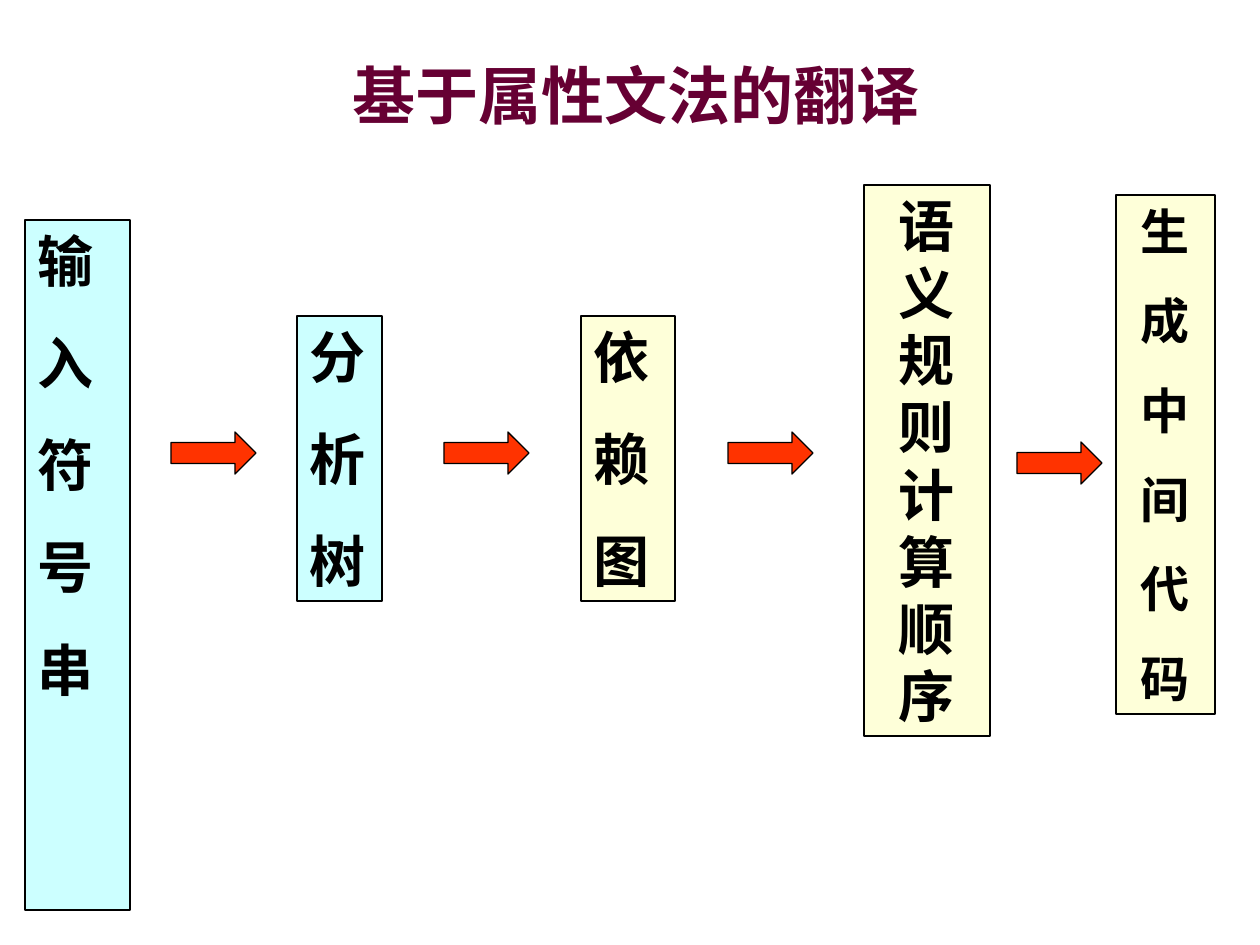
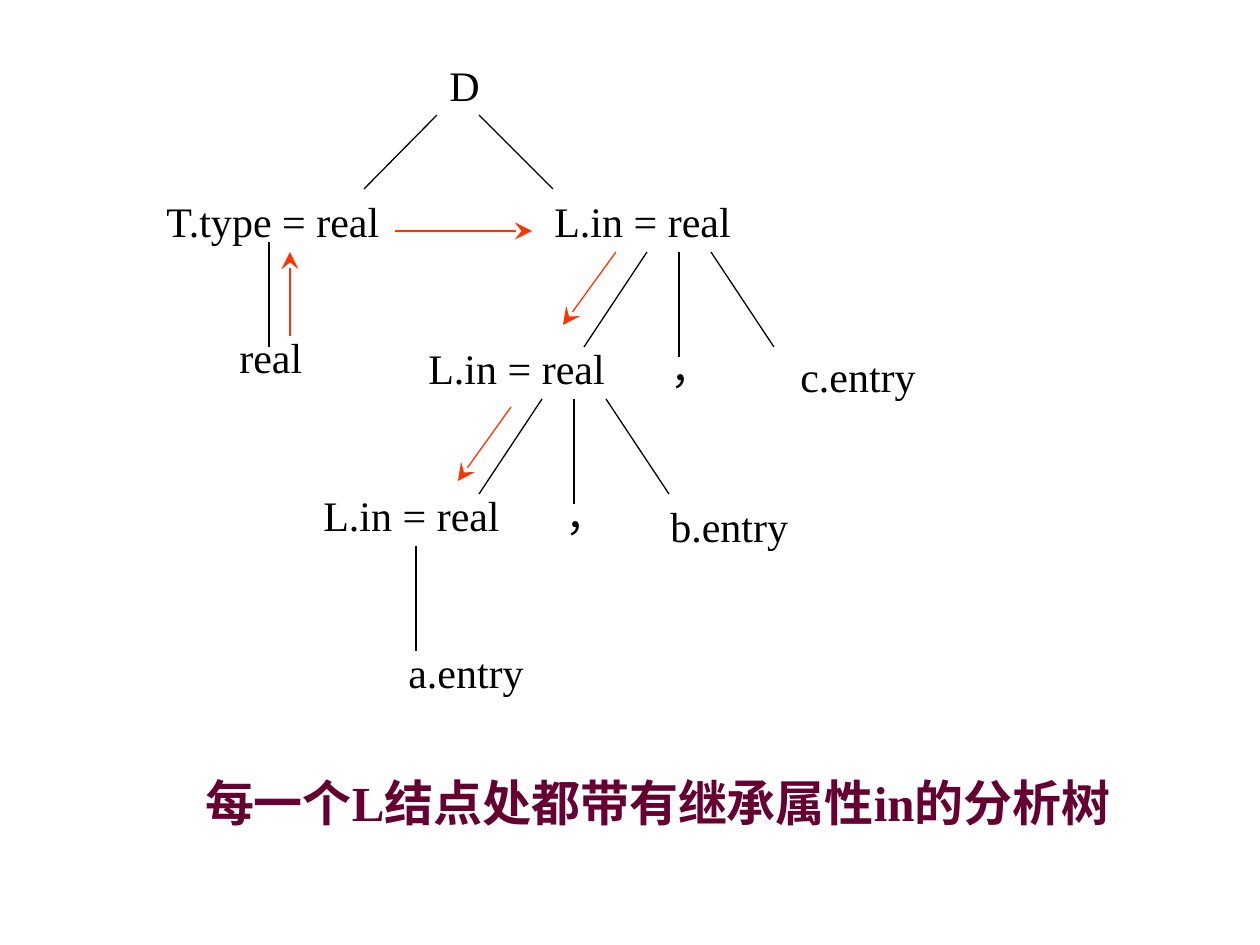
from lxml.etree import SubElement
from pptx import Presentation
from pptx.dml.color import RGBColor
from pptx.enum.shapes import MSO_CONNECTOR, MSO_SHAPE
from pptx.enum.text import MSO_ANCHOR, MSO_AUTO_SIZE, PP_ALIGN
from pptx.oxml.ns import qn
from pptx.util import Pt

PX = 914400 / 126
FONT = "Times New Roman"
BLACK = RGBColor(0x00, 0x00, 0x00)
PLUM = RGBColor(0x66, 0x00, 0x33)
ORANGE = RGBColor(0xFF, 0x33, 0x00)
CYAN = RGBColor(0xCC, 0xFF, 0xFF)
CREAM = RGBColor(0xFE, 0xFF, 0xD9)


def px(*lengths):
    return [round(length * PX) for length in lengths]


def write(frame, lines, size, colour=BLACK, bold=False, align=PP_ALIGN.LEFT,
          anchor=MSO_ANCHOR.TOP, gap=0):
    frame.word_wrap = True
    frame.auto_size = MSO_AUTO_SIZE.NONE
    frame.vertical_anchor = anchor
    for number, line in enumerate(lines):
        para = frame.add_paragraph() if number else frame.paragraphs[0]
        para.text = line
        para.alignment = align
        para.space_before = Pt(gap if number else 0)
        para.font.name = FONT
        para.font.size = Pt(size)
        para.font.bold = bold
        para.font.color.rgb = colour


deck = Presentation()
deck.slide_width, deck.slide_height = px(1260, 945)
title_only = deck.slide_layouts[5]
flow_page = deck.slides.add_slide(title_only)
tree_page = deck.slides.add_slide(title_only)

# Titles: heading of the flow, caption under the tree
titles = [
    (flow_page, "基于属性文法的翻译", (105, 21, 1061, 147), 36,
     PP_ALIGN.CENTER, MSO_ANCHOR.MIDDLE),
    (tree_page, "每一个L结点处都带有继承属性in的分析树", (168, 766, 1008, 72), 28,
     PP_ALIGN.LEFT, MSO_ANCHOR.TOP),
]
for page, text, place, size, align, anchor in titles:
    title = page.shapes.title
    title.left, title.top, title.width, title.height = px(*place)
    write(title.text_frame, [text], size, PLUM, True, align, anchor)
tree_page.shapes.title.text_frame.margin_left = px(37)[0]

# Flow: stages of the translation
stages = [
    (list("输入符号串"), (25, 220, 105, 690), CYAN, 32, PP_ALIGN.LEFT),
    (list("分析树"), (297, 316, 85, 285), CYAN, 32, PP_ALIGN.LEFT),
    (list("依赖图"), (581, 316, 94, 285), CREAM, 32, PP_ALIGN.LEFT),
    (["语义规则计算顺序"], (864, 185, 126, 551), CREAM, 32, PP_ALIGN.CENTER),
    (list("生成中间代码"), (1116, 195, 99, 519), CREAM, 28, PP_ALIGN.CENTER),
]
flow_shapes = []
for lines, place, fill, size, align in stages:
    box = flow_page.shapes.add_shape(MSO_SHAPE.RECTANGLE, *px(*place))
    write(box.text_frame, lines, size, bold=True, align=align, gap=size * 0.625)
    flow_shapes.append((box, fill))

# Flow: block arrows between the stages
for left, top in [(171, 432), (444, 432), (728, 432), (1017, 442)]:
    arrow = flow_page.shapes.add_shape(MSO_SHAPE.RIGHT_ARROW, *px(left, top, 85, 42))
    flow_shapes.append((arrow, ORANGE))

for shape, fill in flow_shapes:
    shape.shadow.inherit = False
    shape.fill.solid()
    shape.fill.fore_color.rgb = fill
    shape.line.color.rgb = BLACK
    shape.line.width = Pt(0.75)

# Tree: node labels
nodes = [
    ("D", 437, 53, 136),
    ("T.type = real", 154, 189, 305),
    ("L.in = real", 542, 189, 305),
    ("real", 227, 325, 136),
    ("L.in = real", 416, 336, 305),
    ("，", 658, 336, 84),
    ("c.entry", 788, 344, 305),
    ("L.in = real", 311, 483, 305),
    ("，", 553, 483, 84),
    ("b.entry", 658, 494, 305),
    ("a.entry", 396, 640, 305),
]
for text, left, top, width in nodes:
    box = tree_page.shapes.add_textbox(*px(left, top, width, 63))
    write(box.text_frame, [text], 24)

# Tree: branches, with a three-way fan below each inner L node
branches = [
    (437, 115, 364, 189),
    (479, 115, 553, 189),
    (269, 242, 269, 347),
    (416, 546, 416, 651),
]
for x, y in [(679, 252), (574, 399)]:
    branches.append((x, y, x, y + 105))
    for side in (-1, 1):
        branches.append((x + 32 * side, y, x + 95 * side, y + 95))

# Tree: flow of the attribute values
value_flow = [
    (290, 336, 290, 252),
    (395, 231, 532, 231),
    (616, 252, 563, 325),
    (511, 407, 458, 481),
]
for colour, paths in [(BLACK, branches), (ORANGE, value_flow)]:
    for ends in paths:
        line = tree_page.shapes.add_connector(MSO_CONNECTOR.STRAIGHT, *px(*ends))
        line.line.color.rgb = colour
        line.line.width = Pt(0.75)
        properties = line._element.spPr
        if colour == ORANGE:
            SubElement(properties.find(qn("a:ln")), qn("a:tailEnd"),
                       type="stealth", w="lg", len="lg")
        SubElement(properties, qn("a:effectLst"))

deck.save("out.pptx")
